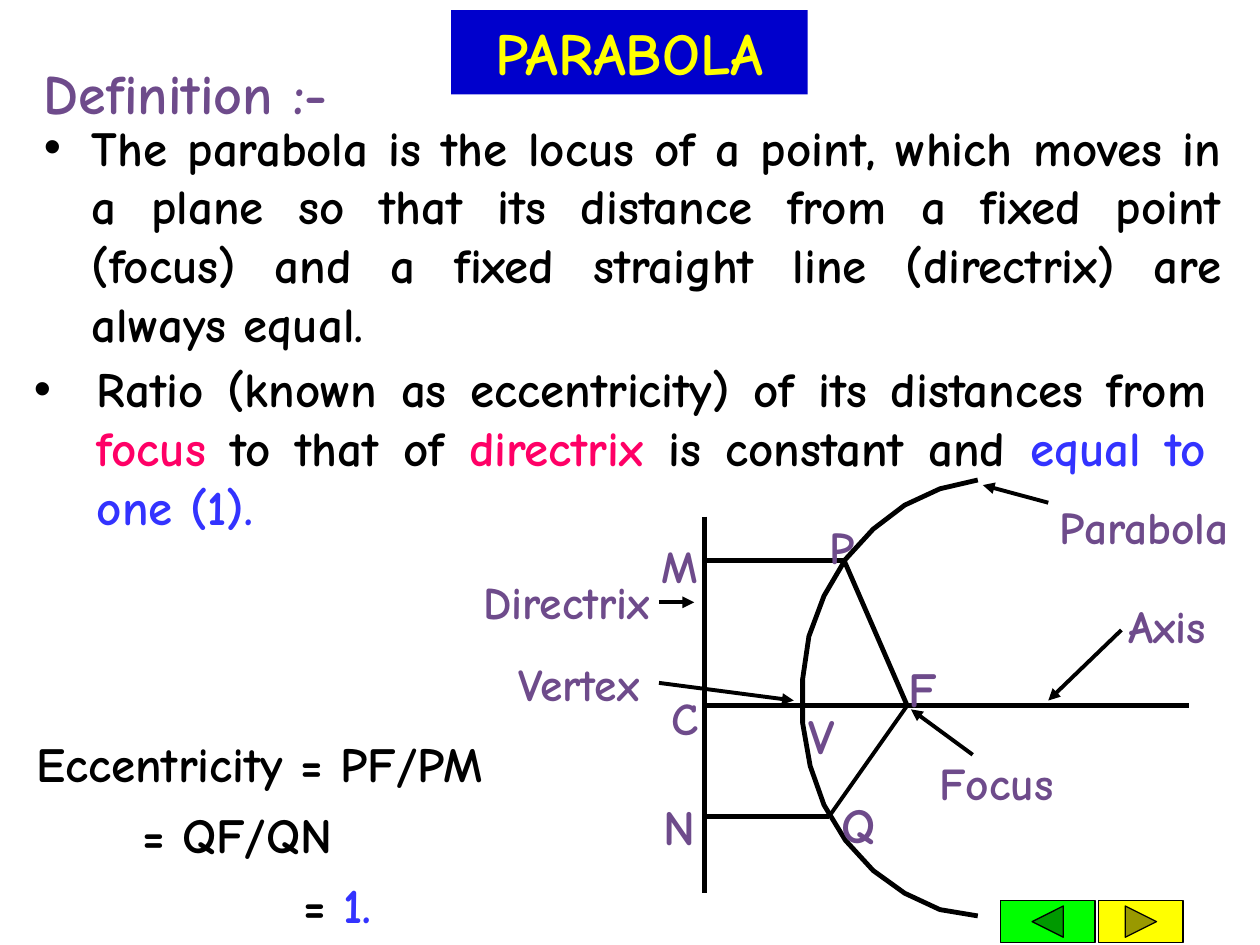
from lxml import etree
from pptx import Presentation
from pptx.dml.color import RGBColor
from pptx.enum.shapes import MSO_CONNECTOR, MSO_SHAPE
from pptx.enum.text import MSO_ANCHOR, PP_ALIGN
from pptx.oxml.ns import qn
from pptx.util import Inches, Pt

LEFT, MID, JUST = PP_ALIGN.LEFT, PP_ALIGN.CENTER, PP_ALIGN.JUSTIFY
TOP = MSO_ANCHOR.TOP
LINE = MSO_CONNECTOR.STRAIGHT
RECT = MSO_SHAPE.RECTANGLE
BACK = MSO_SHAPE.ACTION_BUTTON_BACK_OR_PREVIOUS
NEXT = MSO_SHAPE.ACTION_BUTTON_FORWARD_OR_NEXT
HUE = {"ink": "000000", "plum": "6E4B8B", "pink": "FF0066", "blue": "3333FF",
       "navy": "0000CC", "sun": "FFFF00", "green": "00FF00"}
HUE = {name: RGBColor.from_string(code) for name, code in HUE.items()}
FONT = {"name": "Comic Neue", "bold": True}

deck = Presentation()
deck.slide_width, deck.slide_height = Inches(10), Inches(7.5)
slide = deck.slides.add_slide(deck.slide_layouts[6])
shapes = slide.shapes
CELL = deck.slide_width / 100  # grid of 100 columns by 75 rows


def grid(*cells):
    return [round(cell * CELL) for cell in cells]


def write(shape, rows, size, align, space=1.0, bullet=0):
    """Each row is (indent in columns, [(text, colour), ...])."""
    frame = shape.text_frame
    frame.word_wrap, frame.vertical_anchor = True, TOP
    for i, (indent, runs) in enumerate(rows):
        para = frame.add_paragraph() if i else frame.paragraphs[0]
        para.alignment, para.line_spacing = align, space
        props = para._p.get_or_add_pPr()
        if bullet or indent:
            props.set("marL", str(grid(bullet or indent)[0]))
        if bullet:
            props.set("indent", str(grid(-bullet)[0]))
            face = etree.SubElement(props, qn("a:buFont"))
            face.set("typeface", "Arial")
            etree.SubElement(props, qn("a:buChar")).set("char", "•")
        for text, hue in runs:
            run = para.add_run()
            run.text = text
            for key, val in {**FONT, "size": Pt(size)}.items():
                setattr(run.font, key, val)
            run.font.color.rgb = HUE[hue]


# Title bar
title = shapes.add_shape(RECT, *grid(35.8, 0.8, 28.3, 6.7))
title.shadow.inherit = False
title.fill.solid()
title.fill.fore_color.rgb = HUE["navy"]
title.line.fill.background()
write(title, [(0, [("PARABOLA", "sun")])], 34, MID)

# Definition and its two points
head = shapes.add_textbox(*grid(2.5, 3.6, 35, 6.9))
write(head, [(0, [("Definition :-", "plum")])], 32, LEFT, 1.1)
locus = shapes.add_textbox(*grid(2.5, 8.8, 95.4, 19.7))
write(locus, [(0, [(
    "The parabola is the locus of a point, which moves in a plane so that "
    "its distance from a fixed point (focus) and a fixed straight line "
    "(directrix) are always equal.", "ink")])], 28, JUST, bullet=3.8)
ratio = shapes.add_textbox(*grid(1.7, 28, 95, 15))
write(ratio, [(0, [
    ("Ratio (known as eccentricity) of its distances from ", "ink"),
    ("focus ", "pink"), ("to that of ", "ink"), ("directrix", "pink"),
    (" is constant and ", "ink"), ("equal to one (1).", "blue")])],
    28, JUST, bullet=5)

# Eccentricity sums
sums = shapes.add_textbox(*grid(1.9, 56.8, 53.6, 17.8))
write(sums, [(0, [("Eccentricity = PF/PM", "ink")]),
             (8.4, [("= QF/QN", "ink")]),
             (21.2, [("= ", "ink"), ("1.", "blue")])], 28, LEFT, 1.2)

# Curve
curve = [(77.6, 38.1), (74.6, 38.8), (71.8, 40.1), (69.3, 42), (67.1, 44.4),
         (65.4, 47.3), (64.2, 50.5), (63.7, 53.9), (63.7, 57.4), (64.3, 60.8),
         (65.4, 63.9), (67.1, 66.7), (69.3, 69.1), (71.8, 70.9), (74.6, 72.2),
         (77.6, 72.7)]
start, *rest = [grid(*spot) for spot in curve]
pen = shapes.build_freeform(*start)
pen.add_line_segments(rest, close=False)
arc = pen.convert_to_shape()
arc.shadow.inherit = False
arc.fill.background()
arc.line.color.rgb, arc.line.width = HUE["ink"], Pt(2.75)

# Straight lines and pointers: ends, width, arrowhead
P, Q, F = (67, 44.5), (65.8, 64.8), (72, 56)
lines = [
    ((55.9, 41), (55.9, 70.9), 3, False),
    ((56, 56), (94.4, 56), 2.75, False),
    ((56, 44.5), P, 2.75, False),
    ((55.9, 64.8), Q, 2.75, False),
    (P, F, 2.75, False),
    (F, Q, 2.25, False),
    ((52.3, 47.8), (55.1, 47.8), 2.25, True),
    ((89, 50), (83.2, 55.6), 2.25, True),
    ((52.3, 54.2), (63, 55.6), 2.25, True),
    ((77.2, 59.9), (72.3, 56.3), 2.25, True),
    ((83.2, 39.9), (78, 38.5), 2.25, True),
]
for start, end, width, arrow in lines:
    rule = shapes.add_connector(LINE, *grid(*start, *end))
    rule.line.color.rgb, rule.line.width = HUE["ink"], Pt(width)
    props = rule._element.spPr
    if arrow:
        tip = etree.SubElement(props.find(qn("a:ln")), qn("a:tailEnd"))
        tip.set("type", "triangle")
    etree.SubElement(props, qn("a:effectLst"))

# Labels: text, left, top, width, size
labels = [
    ("Directrix", 33.4, 43.8, 23.2, 26), ("Axis", 86.4, 45.7, 12.5, 26),
    ("Vertex", 37.1, 50.3, 17.7, 26), ("Focus", 71.7, 58.1, 14.8, 26),
    ("Parabola", 81.6, 37.8, 18.4, 26), ("M", 51.5, 40.9, 2.9, 26),
    ("C", 52.3, 53, 2.8, 26), ("P", 64.7, 39.4, 4.3, 26),
    ("N", 51.7, 61.3, 2.8, 28), ("Q", 65.8, 61.2, 4.3, 28),
    ("F", 70.2, 50.4, 6, 28), ("V", 63.1, 54.1, 4.3, 28),
]
for text, left, top, width, size in labels:
    box = shapes.add_textbox(*grid(left, top, width, size / 4))
    write(box, [(0, [(text, "plum")])], size, MID, 1.3)

# Page buttons
for kind, left, width, hue in [(NEXT, 87.2, 6.7, "sun"),
                               (BACK, 79.4, 7.5, "green")]:
    key = shapes.add_shape(kind, *grid(left, 71.5, width, 3.3))
    key.shadow.inherit = False
    key.fill.solid()
    key.fill.fore_color.rgb = HUE[hue]
    key.line.color.rgb, key.line.width = HUE["ink"], Pt(0.75)

deck.save("out.pptx")
